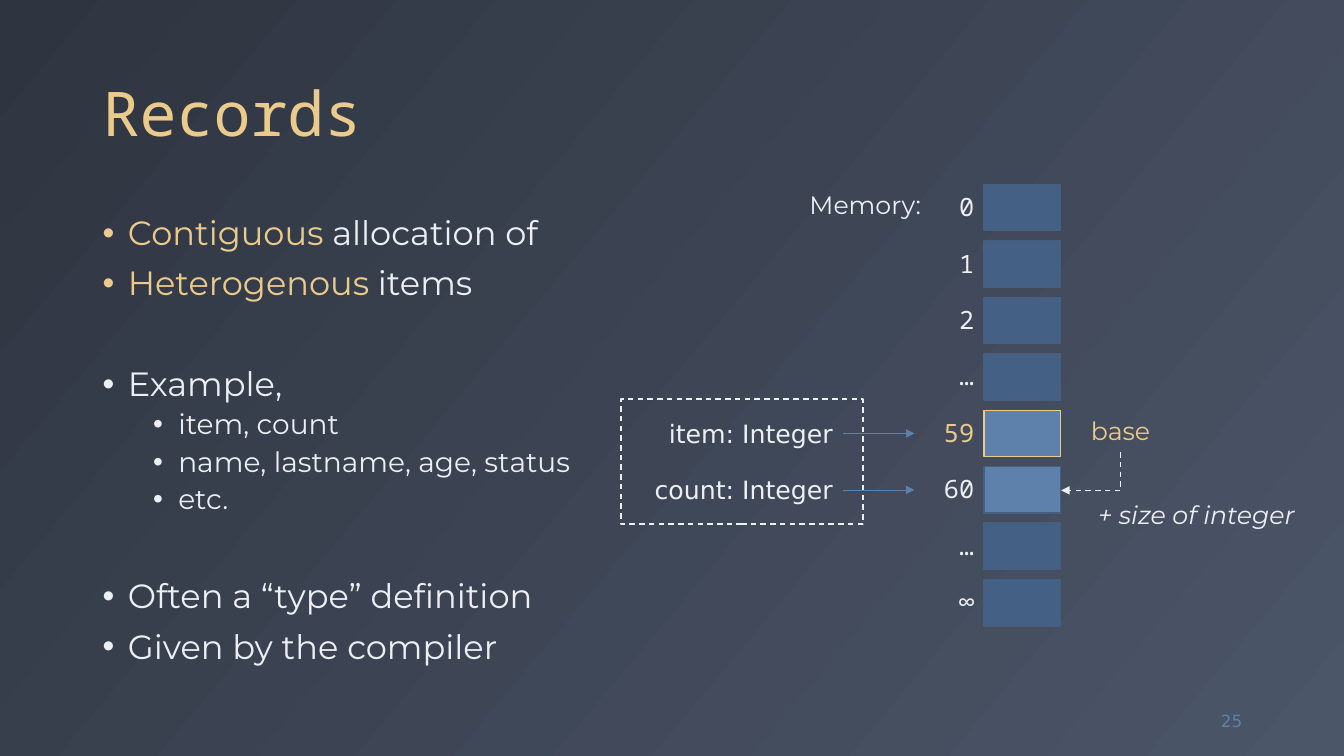
from lxml.etree import SubElement as Sub
from pptx import Presentation
from pptx.dml.color import RGBColor
from pptx.enum.dml import MSO_LINE as Dash
from pptx.enum.shapes import MSO_CONNECTOR as Conn, MSO_SHAPE as Shape
from pptx.enum.text import MSO_ANCHOR as Anchor, MSO_AUTO_SIZE as Auto, PP_ALIGN as Align
from pptx.oxml.ns import qn
from pptx.util import Pt

PX = 9144  # 100 px to the inch
MONO, SANS, BODY = "Noto Sans Mono", "DejaVu Sans", "Montserrat"
GOLD, PALE, BLUE, DEEP, EDGE = "EBCB8B", "ECEFF3", "5E81AC", "446084", "465F7F"

ITEMS = [  # level, space before, runs
    (0, 10, [("Contiguous", GOLD), (" allocation of", PALE)]),
    (0, 10, [("Heterogenous", GOLD), (" items", PALE)]),
    (0, 46, [("Example,", PALE)]),
    (1, 5, [("item, count", PALE)]),
    (1, 5, [("name, lastname, age, status", PALE)]),
    (1, 5, [("etc.", PALE)]),
    (0, 46, [("Often a “type” definition", PALE)]),
    (0, 10, [("Given by the compiler", PALE)]),
]
CELLS = ["0", "1", "2", "…", "59", "60", "…", "∞"]
BASE, NEXT = 4, 5
STEP = 56


def emu(*px):
    return [n * PX for n in px]


def color(code):
    return RGBColor.from_string(code)


def style(font, size, name, code):
    font.size, font.name = Pt(size), name
    font.color.rgb = color(code)


def label(slide, box, text, size=18, name=BODY, code=PALE, align=Align.LEFT,
          anchor=Anchor.TOP, wrap=False, grow=True):
    shape = slide.shapes.add_textbox(*emu(*box))
    frame = shape.text_frame
    frame.word_wrap, frame.vertical_anchor = wrap, anchor
    frame.auto_size = Auto.SHAPE_TO_FIT_TEXT if grow else Auto.NONE
    para = frame.paragraphs[0]
    para.text, para.alignment = text, align
    style(para.font, size, name, code)
    return shape


def rect(slide, box, fill, edge):
    shape = slide.shapes.add_shape(Shape.RECTANGLE, *emu(*box))
    shape.shadow.inherit = False
    if fill:
        shape.fill.solid()
        shape.fill.fore_color.rgb = color(fill)
    else:
        shape.fill.background()
    shape.line.color.rgb = color(edge)
    shape.line.width = Pt(1)
    return shape


def arrow(slide, kind, ends, code, width):
    link = slide.shapes.add_connector(kind, *emu(*ends))
    link.line.color.rgb = color(code)
    link.line.width = Pt(width)
    Sub(link.line._get_or_add_ln(), qn("a:tailEnd"), type="triangle")
    Sub(link._element.spPr, qn("a:effectLst"))
    return link


def backdrop(slide):
    fill = slide.background.fill
    fill.gradient()
    fill.gradient_angle = 320
    for stop, code in zip(fill.gradient_stops, ["2E3440", "4C5669"]):
        stop.color.rgb = color(code)


def heading(slide, box):
    shape = label(slide, box, "Records", 44, MONO, GOLD,
                  anchor=Anchor.BOTTOM, wrap=True, grow=False)
    shape.text_frame.paragraphs[0].line_spacing = 0.9


def bullets(slide, box):
    frame = slide.shapes.add_textbox(*emu(*box)).text_frame
    frame.word_wrap, frame.vertical_anchor = True, Anchor.MIDDLE
    for i, (level, gap, runs) in enumerate(ITEMS):
        para = frame.add_paragraph() if i else frame.paragraphs[0]
        para.level, para.line_spacing, para.space_before = level, 0.9, Pt(gap)
        para.font.size, para.font.name = Pt(24 - 4 * level), BODY
        props = para._p.get_or_add_pPr()
        props.set("marL", str((25 + 50 * level) * PX))
        props.set("indent", str(-25 * PX))
        bullet_font = Sub(props, qn("a:buFont"), typeface="Arial")
        bullet_font.addnext(props.makeelement(qn("a:buChar"), {"char": "•"}))
        # the default run properties must close the list
        props.append(props.find(qn("a:defRPr")))
        for text, code in runs:
            run = para.add_run()
            run.text = text
            style(run.font, 24 - 4 * level, BODY, code)


def memory(slide, x, y):
    """Draw the column of cells and return the address labels."""
    tags = []
    for i, text in enumerate(CELLS):
        top = y + i * STEP
        rect(slide, (x, top, 76, 46), BLUE if i in (BASE, NEXT) else DEEP,
             GOLD if i == BASE else EDGE)
        tags.append(label(slide, (x - 69, top + 2, 69, 42), text, 18, MONO,
                          GOLD if i == BASE else PALE, Align.RIGHT, wrap=True))
    label(slide, (x - 183, y, 132, 40), "Memory:")
    return tags


def record(slide, x, y, tags):
    """Draw the dashed record, its fields pointing at their addresses."""
    fields = [("item: Integer", 190), ("count: Integer", 204)]
    for i, (text, wide) in enumerate(fields):
        field = label(slide, (x + 220 - wide, y + 14 + i * STEP, wide, 40),
                      text, 18, SANS, align=Align.RIGHT)
        mid = y + 34 + i * STEP
        link = arrow(slide, Conn.STRAIGHT, (x + 220, mid, x + 291, mid), BLUE, 0.5)
        link.begin_connect(field, 3)
        link.end_connect(tags[BASE + i], 1)
    rect(slide, (x, y, 240, 124), None, PALE).line.dash_style = Dash.DASH


def offset(slide, x, y):
    """Note the base cell and the step to the next one; x, y is its right top."""
    label(slide, (x + 20, y, 79, 40), "base", code=GOLD)
    bend = arrow(slide, Conn.ELBOW, (x + 11, y + 31, x + 49, y + 90), PALE, 1)
    bend.line.dash_style = Dash.DASH
    props = bend._element.spPr
    props.find(qn("a:prstGeom")).set("prst", "bentConnector2")
    props.find(qn("a:xfrm")).set("rot", str(90 * 60000))
    note = label(slide, (x + 27, y + 83, 218, 40), "+ size of integer")
    note.text_frame.paragraphs[0].font.italic = True


def main():
    deck = Presentation()
    deck.slide_width, deck.slide_height = emu(1333, 750)
    slide = deck.slides.add_slide(deck.slide_layouts[6])
    backdrop(slide)
    heading(slide, (92, 18, 1150, 136))
    bullets(slide, (92, 200, 490, 476))
    label(slide, (1159, 695, 83, 40), "25", 12, SANS, BLUE, Align.RIGHT,
          Anchor.MIDDLE, wrap=True, grow=False)
    tags = memory(slide, 976, 183)
    record(slide, 616, 396, tags)
    offset(slide, 1052, 183 + BASE * STEP)
    deck.save("out.pptx")


if __name__ == "__main__":
    main()
